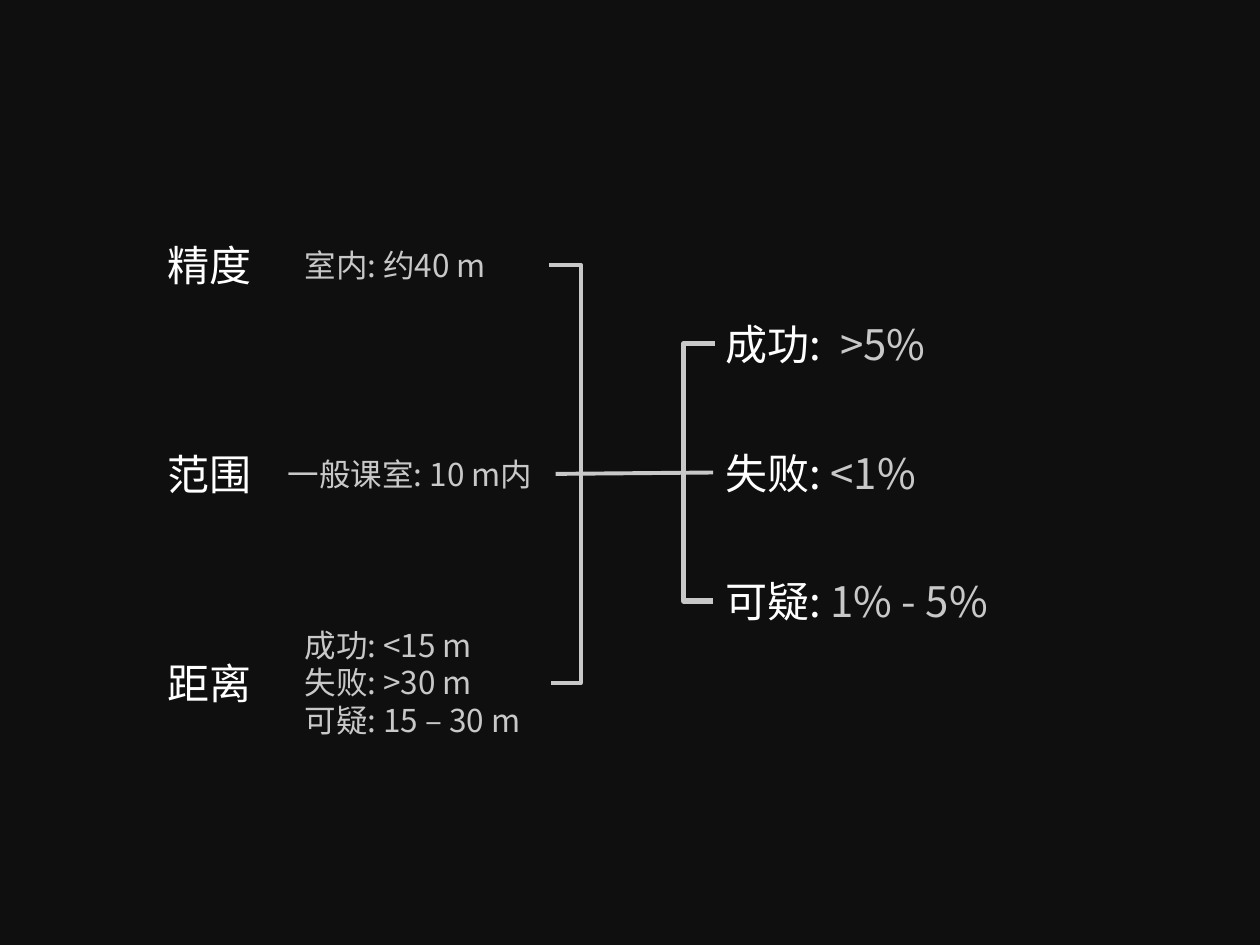
from pptx import Presentation
from pptx.dml.color import RGBColor
from pptx.enum.shapes import MSO_CONNECTOR as Link
from pptx.enum.text import MSO_AUTO_SIZE as AutoSize
from pptx.oxml.ns import qn
from pptx.util import Pt
from lxml.etree import SubElement

BACKGROUND = RGBColor(0x0F, 0x0F, 0x0F)
WHITE = RGBColor(0xFF, 0xFF, 0xFF)
GREY = RGBColor(0xC8, 0xC8, 0xC8)
FONT = "Noto Sans CJK SC"


def add_text(page, left, middle, width, height, lines, size, wrap=False):
    box = page.shapes.add_textbox(Pt(left), Pt(middle - height / 2), Pt(width), Pt(height))
    frame = box.text_frame
    frame.word_wrap = wrap
    frame.auto_size = AutoSize.SHAPE_TO_FIT_TEXT
    for index, runs in enumerate(lines):
        para = frame.paragraphs[0] if index == 0 else frame.add_paragraph()
        for text, color in runs:
            span = para.add_run()
            span.text = text
            span.font.size = Pt(size)
            span.font.name = FONT
            span.font.color.rgb = color
            SubElement(span.font._element, qn("a:ea"), typeface=FONT)


def add_link(page, kind, start, end, weight):
    link = page.shapes.add_connector(kind, *(Pt(value) for value in (*start, *end)))
    link.line.color.rgb = GREY
    link.line.width = Pt(weight)
    SubElement(link._element.spPr, qn("a:effectLst"))
    return link


def add_bracket(page, start, end, reach, weight):
    bracket = add_link(page, Link.ELBOW, start, end, weight)
    ratio = round(reach / abs(end[0] - start[0]) * 100000)
    guides = bracket._element.spPr.find(qn("a:prstGeom")).get_or_add_avLst()
    SubElement(guides, qn("a:gd"), name="adj1", fmla=f"val {ratio}")


def add_criteria(page, left, middle, pitch):
    rows = [
        ("精度", 78.5, 146, 29, ["室内: 约40 m"], True),
        ("范围", 69, 160, 29, ["一般课室: 10 m内"], True),
        ("距离", 78.5, 146, 72.7, ["成功: <15 m", "失败: >30 m", "可疑: 15 – 30 m"], False),
    ]
    for index, (name, offset, width, height, details, wrap) in enumerate(rows):
        center = middle + (index - 1) * pitch
        add_text(page, left, center, 63.4, 36, [[(name, WHITE)]], 24)
        lines = [[(detail, GREY)] for detail in details]
        add_text(page, left + offset, center, width, height, lines, 18, wrap)
    edge = left + 225.5
    add_bracket(page, (edge, middle - pitch), (edge + 1, middle + pitch), 18, 2.25)


def add_outcomes(page, left, middle, pitch):
    rows = [("成功:  ", ">5%", 137), ("失败: ", "<1%", 130), ("可疑: ", "1% - 5%", 173)]
    for index, (name, value, width) in enumerate(rows):
        center = middle + (index - 1) * pitch
        add_text(page, left, center, width, 36, [[(name, WHITE), (value, GREY)]], 24)
    add_bracket(page, (left + 1, middle - pitch), (left, middle + pitch), 18, 3)


def main():
    deck = Presentation()
    deck.slide_width, deck.slide_height = Pt(720), Pt(540)
    page = deck.slides.add_slide(deck.slide_layouts[6])
    page.background.fill.solid()
    page.background.fill.fore_color.rgb = BACKGROUND
    add_criteria(page, left=88.5, middle=270.8, pitch=119.5)
    add_link(page, Link.STRAIGHT, (317.5, 270.8), (407.5, 270), 2.25)
    add_outcomes(page, left=407.5, middle=270, pitch=73.5)
    deck.save("out.pptx")


if __name__ == "__main__":
    main()
